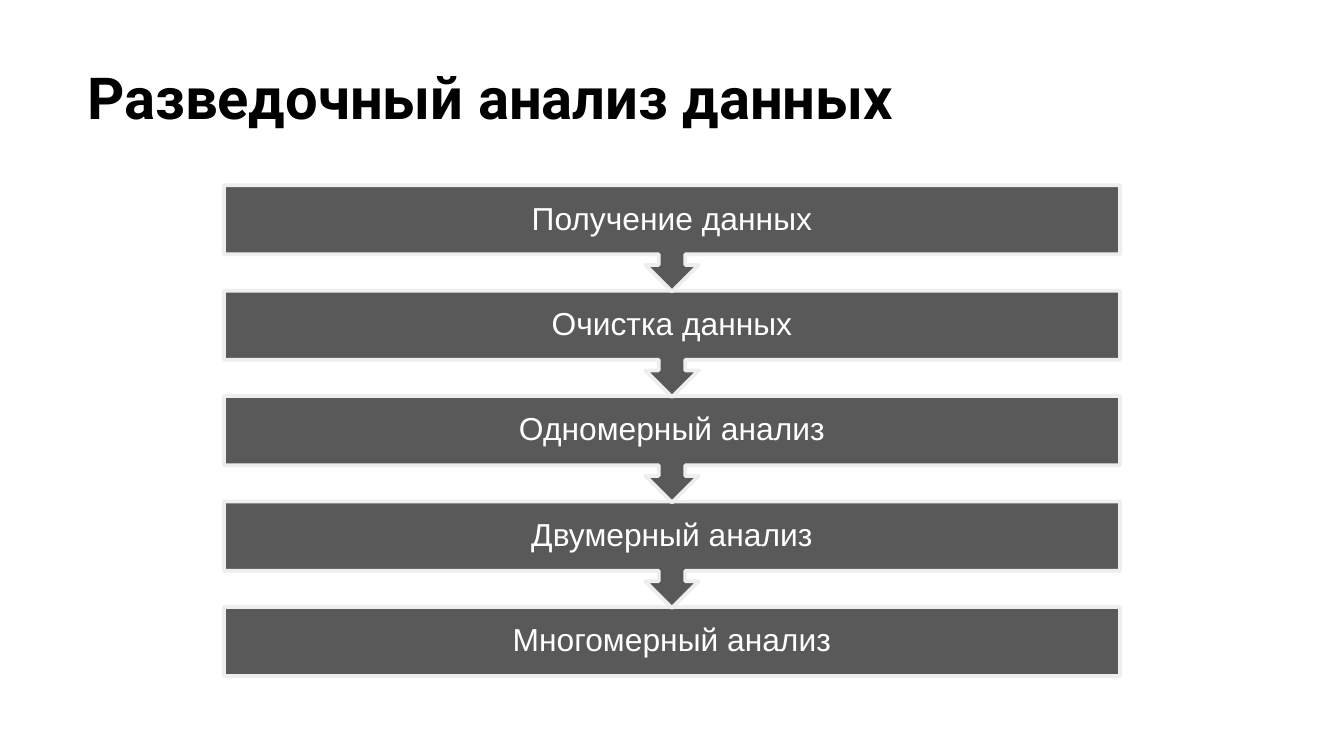
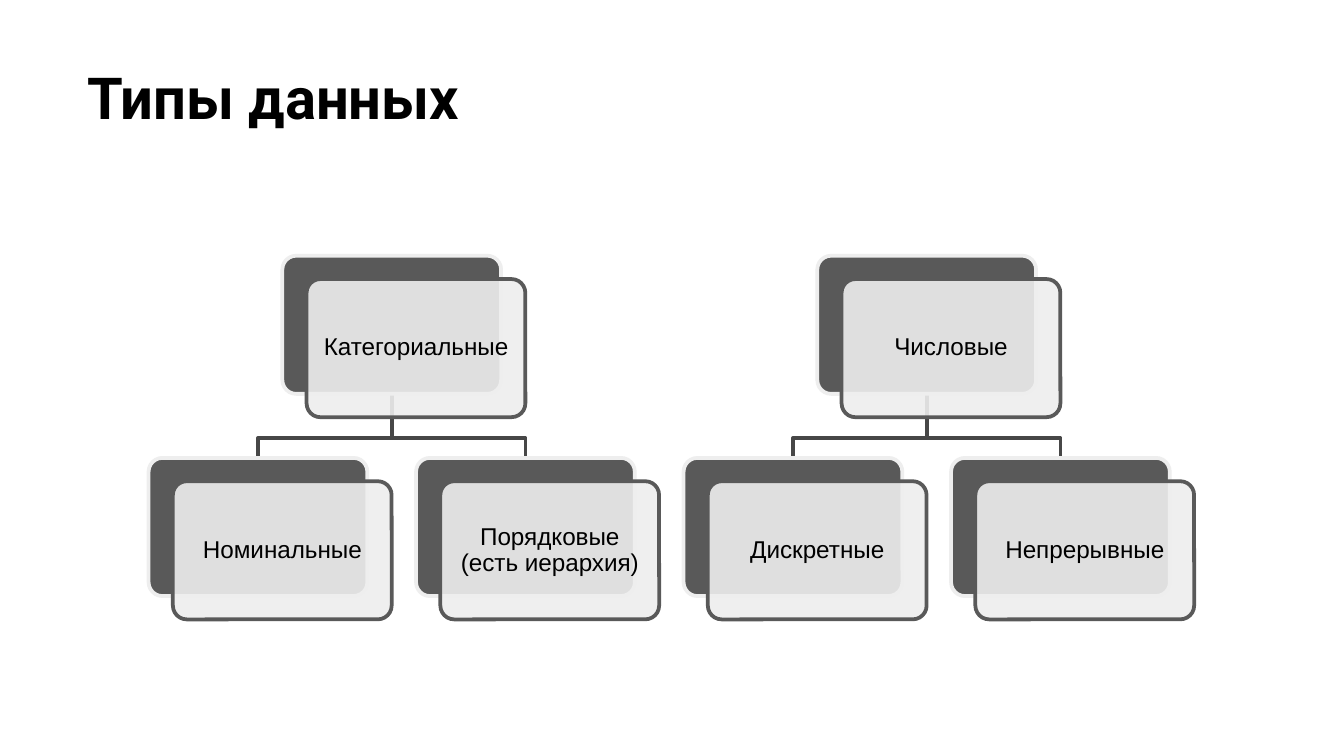
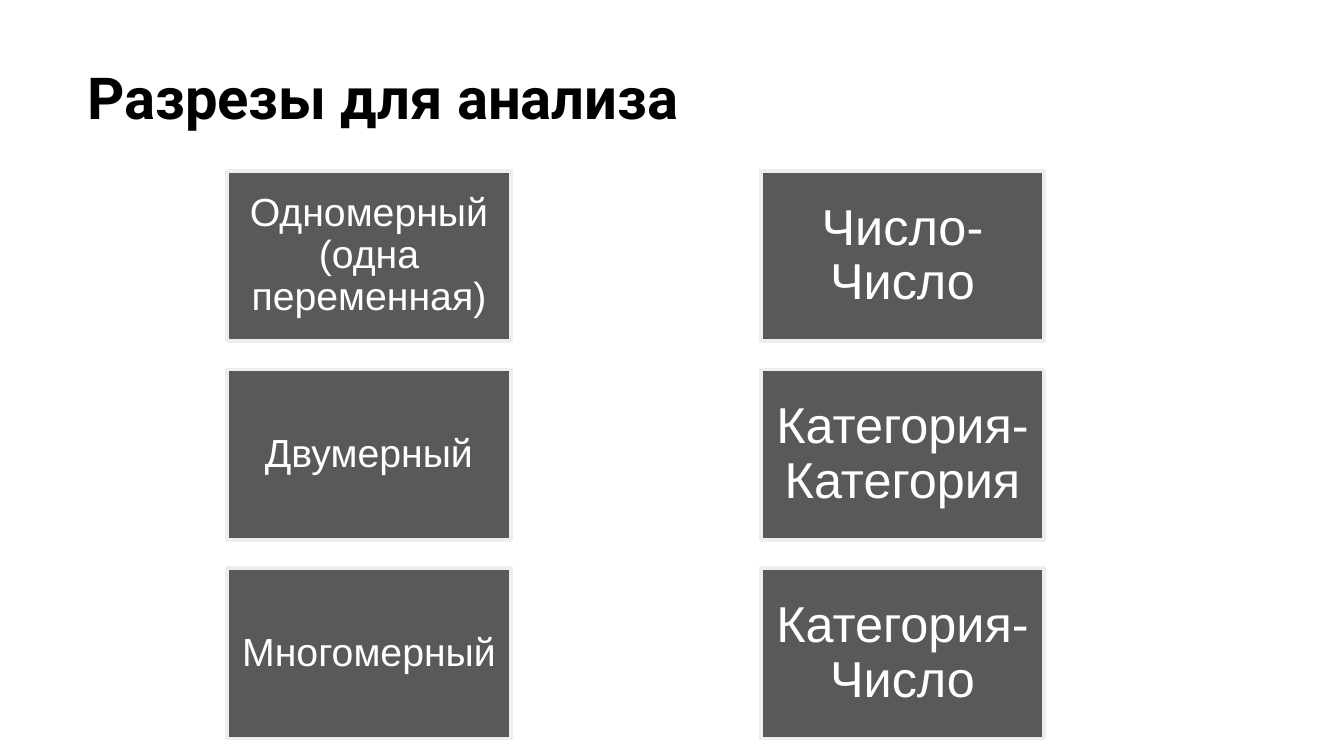
from dataclasses import dataclass

from lxml.etree import SubElement
from pptx import Presentation
from pptx.dml.color import RGBColor
from pptx.enum.shapes import MSO_SHAPE as Preset
from pptx.enum.text import MSO_ANCHOR as Anchor, MSO_AUTO_SIZE as AutoSize, PP_ALIGN as Align
from pptx.oxml.ns import qn
from pptx.util import Pt


@dataclass(frozen=True)
class Theme:
    dark: str = "595959"
    pale: str = "EEEEEE"
    branch: str = "474747"
    ink: str = "000000"
    white: str = "FFFFFF"
    title_font: str = "Roboto"
    body_font: str = "Arial"
    title_size: float = 31
    step_size: float = 17
    type_size: float = 13
    view_size: float = 21
    pair_size: float = 27
    line_width: float = 2


def write(frame, text, *, font, size, color, bold=False, align=Align.CENTER,
          anchor=Anchor.MIDDLE, inset=0, spacing=0.9):
    frame.word_wrap = True
    frame.auto_size = AutoSize.NONE
    frame.vertical_anchor = anchor
    frame.margin_left = frame.margin_right = Pt(inset)
    frame.margin_top = frame.margin_bottom = Pt(inset)
    paragraph = frame.paragraphs[0]
    paragraph.alignment = align
    paragraph.line_spacing = spacing
    run = paragraph.add_run()
    run.text = text
    run.font.name = font
    run.font.size = Pt(size)
    run.font.bold = bold
    run.font.color.rgb = RGBColor.from_string(color)


class Deck:
    def __init__(self, theme):
        self.theme = theme
        self.show = Presentation()
        self.show.slide_width = Pt(720)
        self.show.slide_height = Pt(405)
        self.slide = None

    def start(self, heading):
        self.slide = self.show.slides.add_slide(self.show.slide_layouts[5])
        title = self.slide.shapes.title
        title.left, title.top, title.width, title.height = Pt(39.6), Pt(26), Pt(671), Pt(86.4)
        write(title.text_frame, heading, font=self.theme.title_font,
              size=self.theme.title_size, color=self.theme.ink, bold=True,
              align=Align.LEFT, anchor=Anchor.TOP, inset=7.2, spacing=1)

    def outline(self, shape, color):
        shape.shadow.inherit = False
        shape.line.color.rgb = RGBColor.from_string(color)
        shape.line.width = Pt(self.theme.line_width)

    def block(self, preset, left, top, width, height, fill, line):
        shape = self.slide.shapes.add_shape(preset, Pt(left), Pt(top), Pt(width), Pt(height))
        shape.fill.solid()
        shape.fill.fore_color.rgb = RGBColor.from_string(fill)
        self.outline(shape, line)
        return shape

    def dark_block(self, text, left, top, width, height, size, inset, preset=Preset.RECTANGLE):
        block = self.block(preset, left, top, width, height, self.theme.dark, self.theme.pale)
        write(block.text_frame, text, font=self.theme.body_font, size=size,
              color=self.theme.white, inset=inset)

    def card(self, text, left, top, width, height):
        theme = self.theme
        back = self.block(Preset.ROUNDED_RECTANGLE, left, top, width, height,
                          theme.dark, theme.pale)
        front = self.block(Preset.ROUNDED_RECTANGLE, left + 13, top + 12.5, width, height,
                           theme.pale, theme.dark)
        back.adjustments[0] = front.adjustments[0] = 0.1
        tint = front.element.spPr.find(qn("a:solidFill")).find(qn("a:srgbClr"))
        SubElement(tint, qn("a:alpha")).set("val", "90000")
        write(front.text_frame, text, font=theme.body_font, size=theme.type_size,
              color=theme.ink, inset=3.5)

    def branch(self, start_x, start_y, end_x, end_y, bend_y):
        builder = self.slide.shapes.build_freeform(Pt(start_x), Pt(start_y))
        builder.add_line_segments(
            [(Pt(start_x), Pt(bend_y)), (Pt(end_x), Pt(bend_y)), (Pt(end_x), Pt(end_y))],
            close=False)
        path = builder.convert_to_shape()
        path.fill.background()
        self.outline(path, self.theme.branch)


def add_steps(deck):
    deck.start("Разведочный анализ данных")
    steps = ["Получение данных", "Очистка данных", "Одномерный анализ",
             "Двумерный анализ", "Многомерный анализ"]
    last = len(steps) - 1
    for index in range(last, -1, -1):
        preset, height = ((Preset.RECTANGLE, 37) if index == last
                          else (Preset.DOWN_ARROW_CALLOUT, 57))
        deck.dark_block(steps[index], 120, 99.2 + index * 56.5, 480, height,
                        deck.theme.step_size, 9, preset)


def add_types(deck):
    deck.start("Типы данных")
    families = {"Категориальные": ["Номинальные", "Порядковые (есть иерархия)"],
                "Числовые": ["Дискретные", "Непрерывные"]}
    width, height, pitch = 117.2, 74, 143.3
    parent_top, child_top, bend = 137, 245.3, 234.7
    trees = []
    for index, (parent, children) in enumerate(families.items()):
        child_lefts = [79.6 + (2 * index + side) * pitch for side in range(2)]
        trees.append((parent, sum(child_lefts) / 2, list(zip(children, child_lefts))))
    for _, parent_left, children in trees:
        for _, child_left in children:
            deck.branch(parent_left + width / 2, parent_top + height,
                        child_left + width / 2, child_top, bend)
    for parent, parent_left, children in trees:
        deck.card(parent, parent_left, parent_top, width, height)
        for child, child_left in children:
            deck.card(child, child_left, child_top, width, height)


def add_views(deck):
    deck.start("Разрезы для анализа")
    views = ["Одномерный (одна переменная)", "Двумерный", "Многомерный"]
    pairs = ["Число-Число", "Категория-Категория", "Категория-Число"]
    columns = [(121.7, views, deck.theme.view_size, 6.5),
               (407.5, pairs, deck.theme.pair_size, 7.5)]
    for left, labels, size, inset in columns:
        for row, label in enumerate(labels):
            deck.dark_block(label, left, 91.5 + row * 106.5, 152, 91.2, size, inset)


def main():
    deck = Deck(Theme())
    add_steps(deck)
    add_types(deck)
    add_views(deck)
    deck.show.save("out.pptx")


if __name__ == "__main__":
    main()
